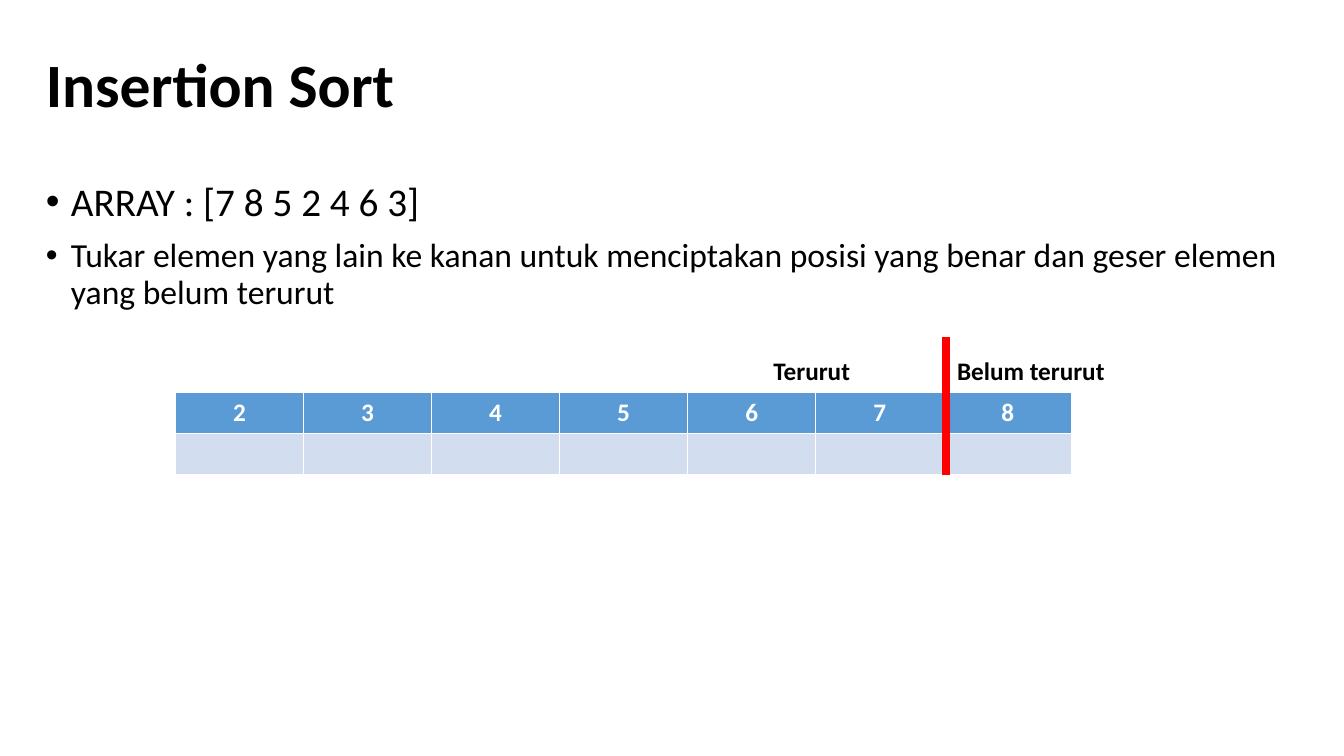
from dataclasses import dataclass

from lxml import etree
from pptx import Presentation
from pptx.dml.color import RGBColor
from pptx.enum.shapes import MSO_CONNECTOR
from pptx.enum.text import MSO_ANCHOR, MSO_AUTO_SIZE, PP_ALIGN
from pptx.oxml.ns import qn
from pptx.util import Pt

LEFT, CENTER = PP_ALIGN.LEFT, PP_ALIGN.CENTER
MIDDLE, TOP = MSO_ANCHOR.MIDDLE, MSO_ANCHOR.TOP
NO_AUTOFIT = MSO_AUTO_SIZE.NONE
STRAIGHT = MSO_CONNECTOR.STRAIGHT

PX = 9525  # EMU per px
FONT = "Calibri"
COLORS = {
    "black": "000000",
    "white": "FFFFFF",
    "header": "5B9BD5",
    "band": "D2DEEF",
    "divider": "FF0000",
}


@dataclass
class Bullet:
    text: str
    size: int
    level: int


@dataclass
class Grid:
    left: int
    top: int
    column: int
    row: int
    rows: list[list[str]]
    fills: list[str | None]
    color: str
    align: PP_ALIGN


BULLETS = [
    Bullet("ARRAY : [7 8 5 2 4 6 3]", 28, 0),
    Bullet("Tukar elemen yang lain ke kanan untuk menciptakan posisi yang benar "
           "dan geser elemen yang belum terurut", 24, 1),
]
SORTED_ARRAY = Grid(167, 374, 122, 39, [list("2345678"), [""] * 7],
                    ["header", "band"], "white", CENTER)
REGION_LABELS = Grid(727, 335, 175, 39, [["Terurut", "Belum terurut"]],
                     [None], "black", LEFT)


def rgb(name: str) -> RGBColor:
    return RGBColor.from_string(COLORS[name])


def write(paragraph, text: str, *, size: int, color: str = "black",
          bold: bool = False, align: PP_ALIGN = LEFT,
          spacing: float | None = None, before: int = 0) -> None:
    paragraph.alignment = align
    paragraph.line_spacing = spacing
    paragraph.space_before = Pt(before)
    paragraph.font.size = Pt(size)
    if text:
        run = paragraph.add_run()
        run.text = text
        run.font.name, run.font.size, run.font.bold = FONT, Pt(size), bold
        run.font.color.rgb = rgb(color)


def place(placeholder, left: int, top: int, width: int, height: int,
          anchor: MSO_ANCHOR):
    placeholder.left, placeholder.top = left * PX, top * PX
    placeholder.width, placeholder.height = width * PX, height * PX
    frame = placeholder.text_frame
    frame.auto_size = NO_AUTOFIT
    frame.vertical_anchor = anchor
    return frame


def add_bullet(paragraph, bullet: Bullet) -> None:
    paragraph.level = bullet.level
    write(paragraph, bullet.text, size=bullet.size, spacing=0.9, before=10)
    properties = paragraph._p.get_or_add_pPr()
    properties.set("marL", str(24 * PX))
    properties.set("indent", str(-24 * PX))
    etree.SubElement(properties, qn("a:buFont"), typeface="Arial")
    etree.SubElement(properties, qn("a:buChar"), char="•")


def add_grid(slide, grid: Grid) -> None:
    row_count, column_count = len(grid.rows), len(grid.rows[0])
    table = slide.shapes.add_table(
        row_count, column_count, grid.left * PX, grid.top * PX,
        column_count * grid.column * PX, row_count * grid.row * PX).table
    table.first_row = row_count > 1
    table.horz_banding = False
    for r, texts in enumerate(grid.rows):
        for c, text in enumerate(texts):
            cell = table.cell(r, c)
            write(cell.text_frame.paragraphs[0], text, size=18,
                  color=grid.color, bold=True, align=grid.align)
            if grid.fills[r]:
                cell.fill.solid()
                cell.fill.fore_color.rgb = rgb(grid.fills[r])
            else:
                cell.fill.background()


def add_divider(slide, x: int, top: int, bottom: int) -> None:
    divider = slide.shapes.add_connector(
        STRAIGHT, x * PX, top * PX, x * PX, bottom * PX)
    divider.line.color.rgb = rgb("divider")
    divider.line.width = Pt(6)
    etree.SubElement(divider._element.spPr, qn("a:effectLst"))


def main() -> None:
    prs = Presentation()
    prs.slide_width, prs.slide_height = 1280 * PX, 720 * PX
    slide = prs.slides.add_slide(prs.slide_layouts[1])

    # Heading and explanation
    heading = place(slide.shapes.title, 34, 14, 1054, 139, MIDDLE)
    write(heading.paragraphs[0], "Insertion Sort", size=44, bold=True, spacing=0.9)
    explanation = place(slide.placeholders[1], 34, 169, 1215, 485, TOP)
    for i, bullet in enumerate(BULLETS):
        add_bullet(explanation.add_paragraph() if i else explanation.paragraphs[0],
                   bullet)

    # Array with its sorted and unsorted regions
    add_grid(slide, SORTED_ARRAY)
    add_grid(slide, REGION_LABELS)
    add_divider(slide, 901, 321, 452)

    prs.save("out.pptx")


if __name__ == "__main__":
    main()
